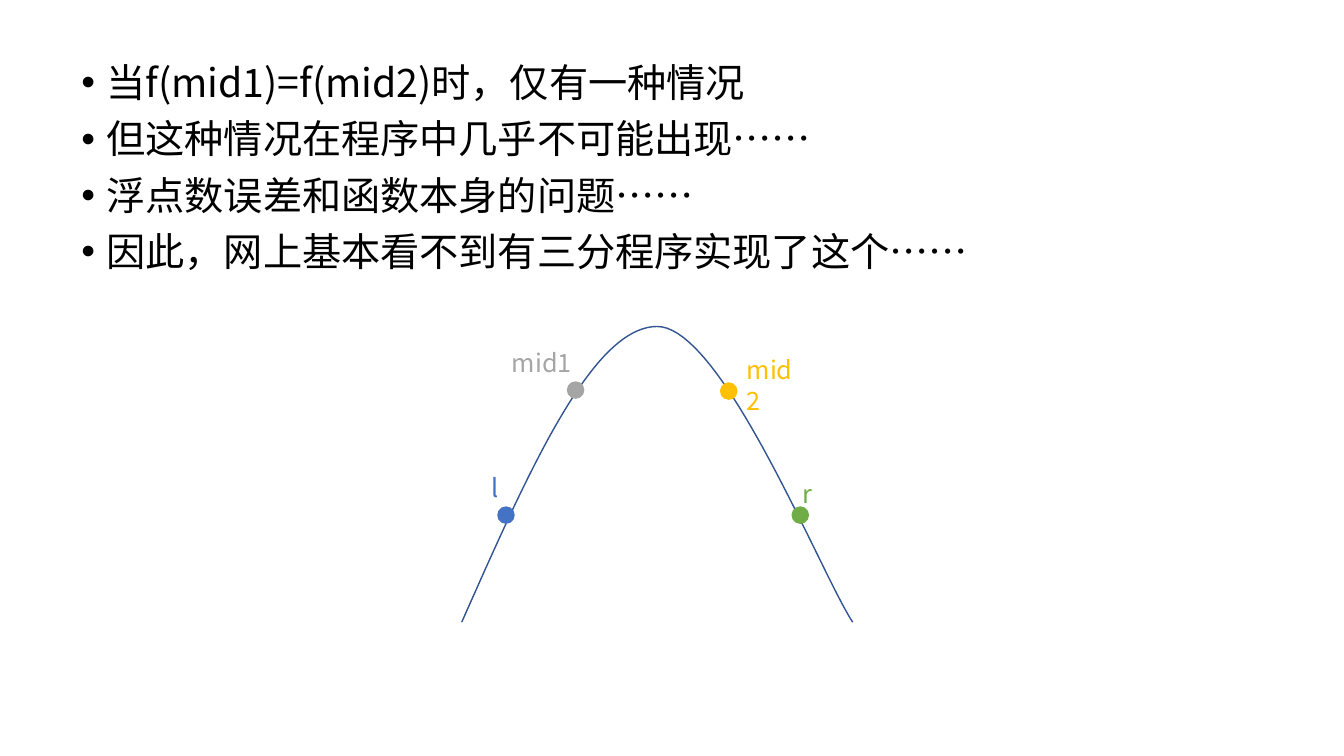
from dataclasses import dataclass

from lxml.etree import SubElement
from pptx import Presentation
from pptx.dml.color import RGBColor as Color
from pptx.enum.shapes import MSO_SHAPE as Preset
from pptx.enum.text import MSO_AUTO_SIZE as AutoSize
from pptx.oxml.ns import qn
from pptx.util import Pt


@dataclass(frozen=True)
class Theme:
    font: str = "Noto Sans CJK SC"
    body_size: float = 28
    label_size: float = 18
    line_width: float = 1
    text: str = "000000"
    curve: str = "325491"
    left: str = "4472C4"
    right: str = "70AD47"
    first_middle: str = "A5A5A5"
    second_middle: str = "FFC000"


THEME = Theme()
DOT_SIZE = 11.5

BULLETS = [
    "当f(mid1)=f(mid2)时，仅有一种情况",
    "但这种情况在程序中几乎不可能出现……",
    "浮点数误差和函数本身的问题……",
    "因此，网上基本看不到有三分程序实现了这个……",
]

# Each half of the hill: start, two control points, end
CURVE = [
    [(329.8, 444.4), (376.6, 339), (422.6, 233.2), (469.4, 233.2)],
    [(469.4, 233.2), (516.2, 233.2), (586.8, 411), (609.1, 444.4)],
]

# Name, colour, dot left and top, label left, top and width
MARKS = [
    ("l", THEME.left, (355.7, 362.2), (344.2, 334.1, 43.9)),
    ("r", THEME.right, (565.9, 362.2), (565.9, 338.4, 43.9)),
    ("mid1", THEME.first_middle, (405.4, 272.9), (358.6, 244.8, 60.5)),
    ("mid2", THEME.second_middle, (514.8, 273.6), (526.3, 249.8, 54)),
]


def bezier_points(controls, steps=40):
    """Return points along a cubic curve, without its start."""
    points = []
    for step in range(1, steps + 1):
        t = step / steps
        weights = ((1 - t) ** 3, 3 * t * (1 - t) ** 2, 3 * t * t * (1 - t), t ** 3)
        points.append(tuple(
            Pt(sum(weight * control[axis] for weight, control in zip(weights, controls)))
            for axis in (0, 1)))
    return points


class SlideBuilder:
    def __init__(self, slide, theme):
        self.slide = slide
        self.theme = theme

    def style_line(self, shape, color):
        shape.shadow.inherit = False
        shape.line.color.rgb = Color.from_string(color)
        shape.line.width = Pt(self.theme.line_width)

    def add_text(self, paragraph, text, size, color):
        run = paragraph.add_run()
        run.text = text
        for name, value in {"name": self.theme.font, "size": Pt(size)}.items():
            setattr(run.font, name, value)
        run.font.color.rgb = Color.from_string(color)
        properties = run._r.get_or_add_rPr()
        SubElement(properties, qn("a:ea"), typeface=self.theme.font)

    def text_frame(self, left, top, width, height, auto_size):
        box = self.slide.shapes.add_textbox(Pt(left), Pt(top), Pt(width), Pt(height))
        frame = box.text_frame
        for name, value in {"word_wrap": True, "auto_size": auto_size}.items():
            setattr(frame, name, value)
        return frame

    def bullets(self, items, left, top, width, height):
        frame = self.text_frame(left, top, width, height, AutoSize.NONE)
        for index, item in enumerate(items):
            paragraph = frame.add_paragraph() if index else frame.paragraphs[0]
            for name, value in {"line_spacing": 0.9, "space_before": Pt(10)}.items():
                setattr(paragraph, name, value)
            properties = paragraph._p.get_or_add_pPr()
            for name, value in {"marL": Pt(18), "indent": Pt(-18)}.items():
                properties.set(name, str(int(value)))
            SubElement(properties, qn("a:buFont"), typeface="Arial")
            SubElement(properties, qn("a:buChar"), char="•")
            self.add_text(paragraph, item, self.theme.body_size, self.theme.text)

    def curve(self, segments, color):
        start_x, start_y = segments[0][0]
        builder = self.slide.shapes.build_freeform(Pt(start_x), Pt(start_y))
        for segment in segments:
            builder.add_line_segments(bezier_points(segment), close=False)
        shape = builder.convert_to_shape()
        shape.fill.background()
        self.style_line(shape, color)

    def dot(self, left, top, color):
        shape = self.slide.shapes.add_shape(
            Preset.OVAL, Pt(left), Pt(top), Pt(DOT_SIZE), Pt(DOT_SIZE))
        shape.fill.solid()
        shape.fill.fore_color.rgb = Color.from_string(color)
        self.style_line(shape, color)

    def label(self, text, left, top, width, color):
        frame = self.text_frame(left, top, width, 29, AutoSize.SHAPE_TO_FIT_TEXT)
        self.add_text(frame.paragraphs[0], text, self.theme.label_size, color)


def main():
    presentation = Presentation()
    presentation.slide_width = Pt(960)
    presentation.slide_height = Pt(540)
    slide = presentation.slides.add_slide(presentation.slide_layouts[6])

    builder = SlideBuilder(slide, THEME)
    builder.bullets(BULLETS, 51, 41.8, 828, 319.7)
    builder.curve(CURVE, THEME.curve)
    for _, color, position, _ in MARKS:
        builder.dot(*position, color)
    for name, color, _, place in MARKS:
        builder.label(name, *place, color)

    presentation.save("out.pptx")


if __name__ == "__main__":
    main()
